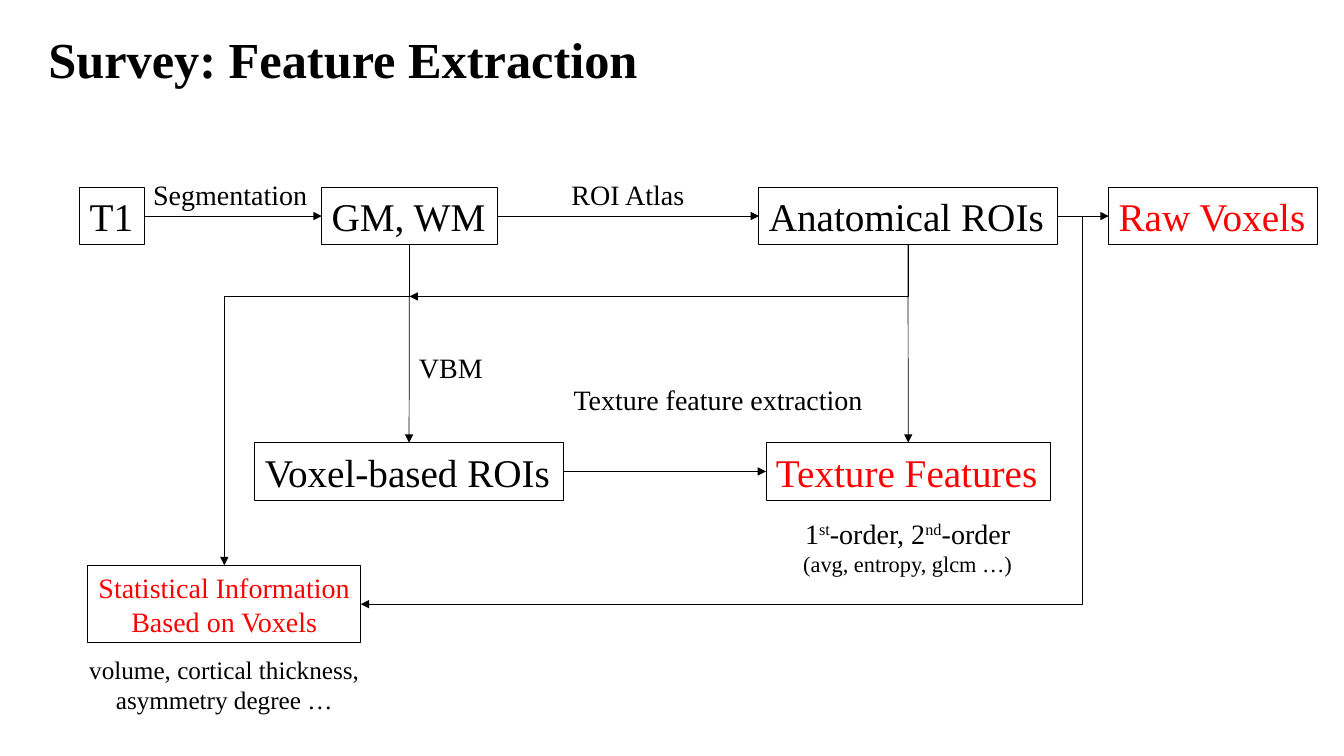
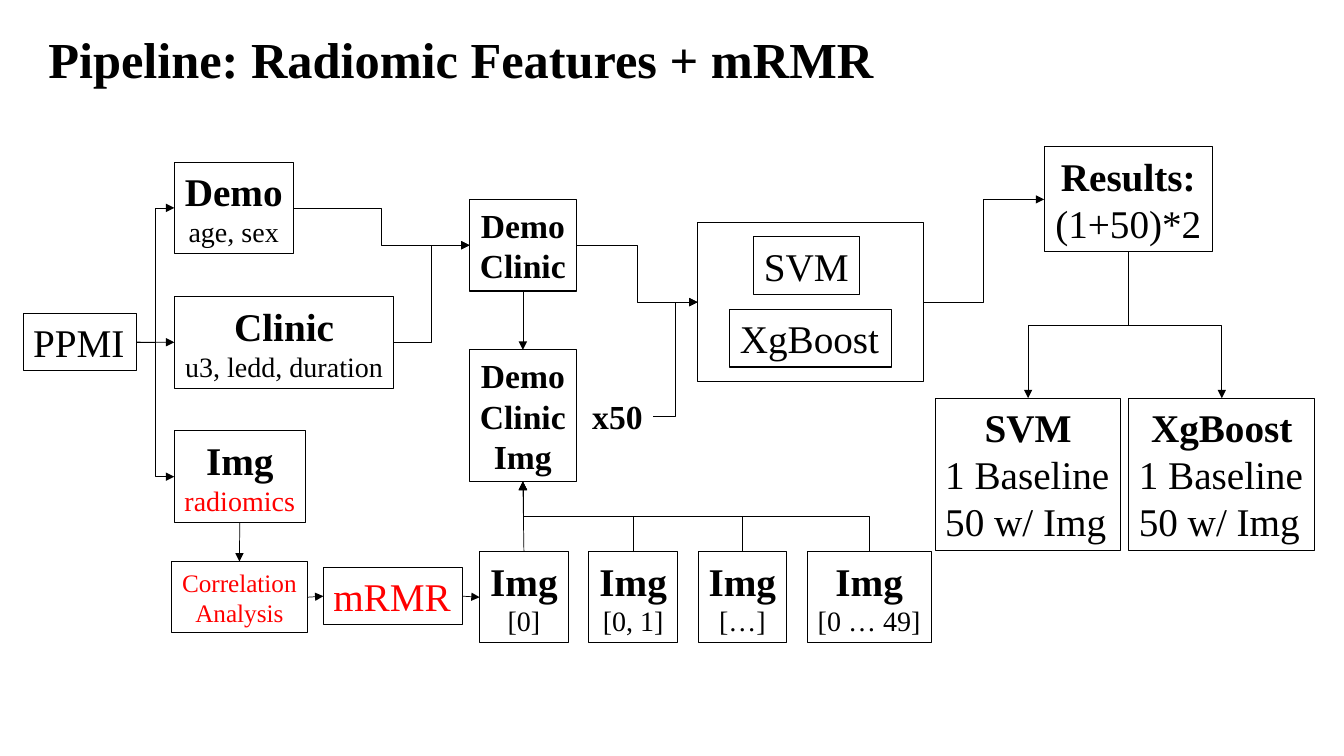
from dataclasses import dataclass
from enum import IntEnum
from typing import Optional

from lxml import etree
from pptx import Presentation
from pptx import util as u
from pptx.dml.color import RGBColor
from pptx.enum import shapes as sh
from pptx.enum import text as tx
from pptx.oxml.ns import qn

COLUMNS, ROWS = 32, 18
CELL = u.Inches(7.5 / ROWS)
BLACK = RGBColor(0x00, 0x00, 0x00)
RED = RGBColor(0xFF, 0x00, 0x00)
FONT = "Times New Roman"
CENTER, LEFT = tx.PP_ALIGN.CENTER, tx.PP_ALIGN.LEFT
TITLE_ONLY = 5
ONE_LINE, TWO_LINES = 1.37, 2.18  # box heights in rows


class Side(IntEnum):
    """Connection sites of a rectangle."""
    TOP = 0
    LEFT = 1
    BOTTOM = 2
    RIGHT = 3


@dataclass(frozen=True)
class Line:
    """One paragraph; parts between ^ marks are superscript."""
    text: str
    size: int = 28
    bold: bool = False
    color: RGBColor = BLACK
    align: tx.PP_ALIGN = CENTER


@dataclass(frozen=True)
class Box:
    col: float
    row: float
    cols: float
    rows: float
    lines: tuple = ()
    framed: bool = True
    border: float = 0.75

    def site(self, side: Side) -> tuple:
        across = {Side.LEFT: 0, Side.RIGHT: 1}.get(side, 0.5)
        down = {Side.TOP: 0, Side.BOTTOM: 1}.get(side, 0.5)
        return self.col + across * self.cols, self.row + down * self.rows


@dataclass(frozen=True)
class Link:
    """An arrow between two named boxes, or to a free point."""
    start: str
    leave: Side
    end: str = ""
    enter: Side = Side.LEFT
    bend: float = 0.5
    point: Optional[tuple] = None


def cells(count: float) -> u.Emu:
    return u.Emu(round(count * CELL))


def plain(text: str, size: int = 28, color: RGBColor = BLACK) -> tuple:
    return (Line(text, size, color=color, align=LEFT),)


def headed(head: str, detail: str, color: RGBColor = BLACK) -> tuple:
    return Line(head, bold=True), Line(detail, 20, color=color)


def stacked(*words: str, size: int, bold: bool = False, color: RGBColor = BLACK) -> tuple:
    return tuple(Line(word, size, bold, color) for word in words)


def label(col: float, row: float, cols: float, lines: tuple, rows: float = 1.06) -> Box:
    return Box(col, row, cols, rows, lines, framed=False)


def write(frame, lines: tuple) -> None:
    for index, line in enumerate(lines):
        paragraph = frame.paragraphs[0] if index == 0 else frame.add_paragraph()
        paragraph.alignment = line.align
        for part, words in enumerate(line.text.split("^")):
            run = paragraph.add_run()
            run.text = words
            run.font.name, run.font.size = FONT, u.Pt(line.size)
            run.font.bold = line.bold
            run.font.color.rgb = line.color
            if part % 2:
                run.font._element.set("baseline", "30000")


def add_title(slide, text: str, cols: float) -> None:
    title = slide.shapes.title
    title.left, title.top = cells(0.91), cells(0.55)
    title.width, title.height = cells(cols), cells(1.7)
    frame = title.text_frame
    frame.word_wrap = False
    frame.auto_size = tx.MSO_AUTO_SIZE.SHAPE_TO_FIT_TEXT
    frame.vertical_anchor = tx.MSO_ANCHOR.TOP
    write(frame, (Line(text, 36, True, align=LEFT),))


def add_box(slide, box: Box):
    area = [cells(n) for n in (box.col, box.row, box.cols, box.rows)]
    if box.framed:
        shape = slide.shapes.add_shape(sh.MSO_SHAPE.RECTANGLE, *area)
        shape.shadow.inherit = False
        shape.fill.background()
        shape.line.color.rgb = BLACK
        shape.line.width = u.Pt(box.border)
    else:
        shape = slide.shapes.add_textbox(*area)
    if box.lines:
        frame = shape.text_frame
        frame.word_wrap = False
        frame.auto_size = tx.MSO_AUTO_SIZE.SHAPE_TO_FIT_TEXT
        write(frame, box.lines)
    return shape


def turn_upright(arrow, start: tuple, end: tuple) -> None:
    """Rotate an elbow so that it leaves its start vertically."""
    (x1, y1), (x2, y2) = start, end
    across, down = abs(x2 - x1), abs(y2 - y1)
    arrow.left = cells((x1 + x2 - down) / 2)
    arrow.top = cells((y1 + y2 - across) / 2)
    arrow.width, arrow.height = cells(down), cells(across)
    flip_h, flip_v, angle = y2 > y1, x2 < x1, 270
    if flip_h and flip_v:
        flip_h, flip_v, angle = False, False, 90
    xfrm = arrow._element.spPr.find(qn("a:xfrm"))
    xfrm.set("rot", str(angle * 60000))
    xfrm.set("flipH", str(int(flip_h)))
    xfrm.set("flipV", str(int(flip_v)))


def add_link(slide, link: Link, boxes: dict, drawn: dict) -> None:
    start = boxes[link.start].site(link.leave)
    end = link.point or boxes[link.end].site(link.enter)
    straight = min(abs(a - b) for a, b in zip(start, end)) < 0.1
    kind = sh.MSO_CONNECTOR.STRAIGHT if straight else sh.MSO_CONNECTOR.ELBOW
    arrow = slide.shapes.add_connector(kind, *map(cells, start + end))
    arrow.begin_connect(drawn[link.start], int(link.leave))
    if link.end:
        arrow.end_connect(drawn[link.end], int(link.enter))
    properties = arrow._element.spPr
    if not straight:
        if link.leave in (Side.TOP, Side.BOTTOM):
            turn_upright(arrow, start, end)
        geometry = properties.find(qn("a:prstGeom"))
        if link.point:
            geometry.set("prst", "bentConnector2")
        else:
            guide = etree.SubElement(geometry.find(qn("a:avLst")), qn("a:gd"))
            guide.set("name", "adj1")
            guide.set("fmla", f"val {round(link.bend * 100000)}")
    arrow.line.color.rgb = BLACK
    arrow.line.width = u.Pt(0.5)
    etree.SubElement(properties.find(qn("a:ln")), qn("a:tailEnd")).set("type", "triangle")
    etree.SubElement(properties, qn("a:effectLst"))


def add_diagram(deck, title: str, title_cols: float, boxes: dict, links: list) -> None:
    slide = deck.slides.add_slide(deck.slide_layouts[TITLE_ONLY])
    add_title(slide, title, title_cols)
    drawn = {name: add_box(slide, box) for name, box in boxes.items()}
    for link in links:
        add_link(slide, link, boxes, drawn)


def add_survey(deck) -> None:
    top, middle = 4.46, 10.54
    boxes = {
        "t1": Box(1.9, top, 1.54, ONE_LINE, plain("T1")),
        "matter": Box(7.66, top, 4.18, ONE_LINE, plain("GM, WM")),
        "anatomical": Box(18.07, top, 7.1, ONE_LINE, plain("Anatomical ROIs")),
        "raw": Box(26.4, top, 4.97, ONE_LINE, plain("Raw Voxels", color=RED)),
        "voxel": Box(6.07, middle, 7.34, ONE_LINE, plain("Voxel-based ROIs")),
        "texture": Box(18.24, middle, 6.77, ONE_LINE, plain("Texture Features", color=RED)),
        "statistics": Box(2.09, 13.46, 6.5, 1.85, stacked(
            "Statistical Information", "Based on Voxels", size=20, color=RED)),
        "segmentation": label(3.41, 4.1, 4.18, plain("Segmentation", 20)),
        "atlas": label(13.37, 4.1, 3.19, plain("ROI Atlas", 20)),
        "vbm": label(9.74, 8.23, 2.02, plain("VBM", 20)),
        "extraction": label(13.42, 9, 7.42, plain("Texture feature extraction", 20)),
        "orders": label(18.86, 12.17, 5.5, (
            Line("1^st^-order, 2^nd^-order", 20), Line("(avg, entropy, glcm …)", 16)), 1.7),
        "measures": label(1.85, 15.46, 6.98, stacked(
            "volume, cortical thickness,", "asymmetry degree …", size=18), 1.7),
    }
    links = [
        Link("t1", Side.RIGHT, "matter"),
        Link("matter", Side.RIGHT, "anatomical"),
        Link("anatomical", Side.RIGHT, "raw"),
        Link("voxel", Side.RIGHT, "texture"),
        Link("matter", Side.BOTTOM, "voxel", Side.TOP),
        Link("anatomical", Side.BOTTOM, "texture", Side.TOP),
        Link("matter", Side.BOTTOM, "statistics", Side.TOP, bend=0.16),
        Link("anatomical", Side.RIGHT, "statistics", Side.RIGHT, bend=-0.036),
        Link("anatomical", Side.BOTTOM, point=(9.75, 7.06)),
    ]
    add_diagram(deck, "Survey: Feature Extraction", 14.66, boxes, links)


def add_pipeline(deck) -> None:
    sources = [
        ("demo", 2.83, headed("Demo", "age, sex")),
        ("clinic", 5.23, headed("Clinic", "u3, ledd, duration")),
        ("img", 3.12, headed("Img", "radiomics", RED)),
    ]
    subsets = [("[0]", 2.11), ("[0, 1]", 2.11), ("[…]", 2.11), ("[0 … 49]", 2.95)]
    scores = [("SVM", 22.27), ("XgBoost", 26.88)]
    boxes = {
        "ppmi": Box(0.55, 7.46, 2.69, ONE_LINE, plain("PPMI")),
        "correlation": Box(4.08, 13.37, 3.24, 1.7, stacked(
            "Correlation", "Analysis", size=18, color=RED)),
        "mrmr": Box(7.7, 13.51, 3.31, ONE_LINE, plain("mRMR", color=RED)),
        "models": Box(16.61, 5.3, 5.38, 3.79, border=1),
        "svm": Box(17.95, 5.64, 2.52, ONE_LINE, plain("SVM")),
        "xgboost": Box(17.38, 7.37, 3.84, ONE_LINE, plain("XgBoost")),
        "baseline": Box(11.18, 4.75, 2.54, TWO_LINES, stacked(
            "Demo", "Clinic", size=24, bold=True)),
        "combined": Box(11.18, 8.33, 2.54, 3.14, stacked(
            "Demo", "Clinic", "Img", size=24, bold=True)),
        "times": label(13.85, 9.31, 1.7, stacked("x50", size=24, bold=True), 1.2),
        "results": Box(24.86, 3.5, 4.01, 2.5, (Line("Results:", bold=True), Line("(1+50)*2"))),
    }
    links = [
        Link("img", Side.BOTTOM, "correlation", Side.TOP),
        Link("correlation", Side.RIGHT, "mrmr"),
        Link("mrmr", Side.RIGHT, "[0]"),
        Link("demo", Side.RIGHT, "baseline"),
        Link("clinic", Side.RIGHT, "baseline"),
        Link("baseline", Side.BOTTOM, "combined", Side.TOP),
        Link("baseline", Side.RIGHT, "models"),
        Link("times", Side.RIGHT, "models"),
        Link("models", Side.RIGHT, "results"),
    ]
    for index, (name, cols, lines) in enumerate(sources):
        boxes[name] = Box(4.15, 3.86 + 3.2 * index, cols, TWO_LINES, lines)
        links.append(Link("ppmi", Side.RIGHT, name))
    for index, (name, cols) in enumerate(subsets):
        boxes[name] = Box(11.42 + 2.6 * index, 13.13, cols, TWO_LINES, headed("Img", name))
        links.append(Link(name, Side.TOP, "combined", Side.BOTTOM))
    for model, col in scores:
        score = f"{model} score"
        boxes[score] = Box(col, 9.48, 4.42, 3.62, (
            Line(model, bold=True), *plain("1 Baseline"), *plain("50 w/ Img")))
        links.append(Link("results", Side.BOTTOM, score, Side.TOP))
    add_diagram(deck, "Pipeline: Radiomic Features + mRMR", 20.33, boxes, links)


def main() -> None:
    deck = Presentation()
    deck.slide_width, deck.slide_height = cells(COLUMNS), cells(ROWS)
    add_survey(deck)
    add_pipeline(deck)
    deck.save("out.pptx")


if __name__ == "__main__":
    main()
